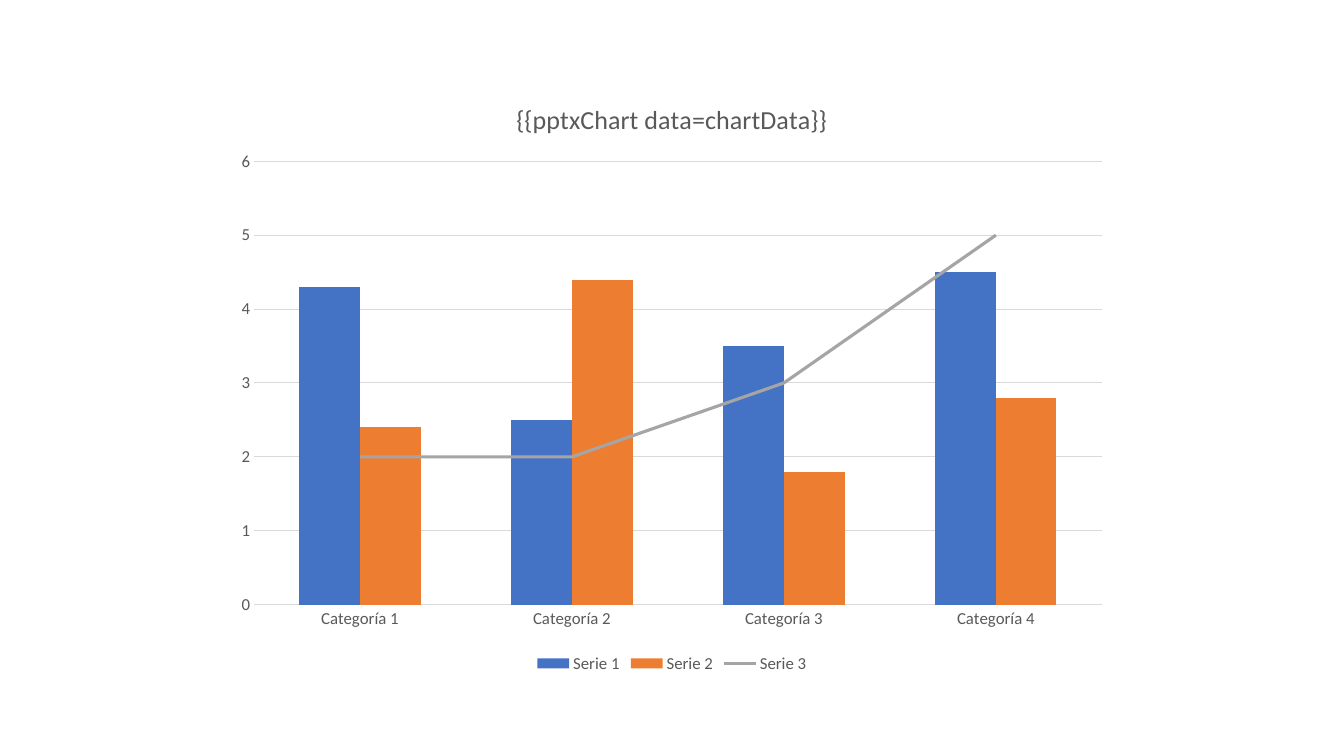
import pptx
import pptx.util
import pptx.chart.data
import pptx.dml.color
import pptx.enum.chart
import pptx.oxml
import pptx.oxml.ns

Inches = pptx.util.Inches
Pt = pptx.util.Pt
RGBColor = pptx.dml.color.RGBColor
qn = pptx.oxml.ns.qn
XL = pptx.enum.chart

BLUE = RGBColor(0x44, 0x72, 0xC4)
ORANGE = RGBColor(0xED, 0x7D, 0x31)
GRAY = RGBColor(0xA5, 0xA5, 0xA5)
TEXT = RGBColor(0x59, 0x59, 0x59)
GRID = RGBColor(0xD9, 0xD9, 0xD9)

CATEGORIES = [f"Categoría {n}" for n in range(1, 5)]
SERIES = {
    "Serie 1": (4.3, 2.5, 3.5, 4.5),
    "Serie 2": (2.4, 4.4, 1.8, 2.8),
    "Serie 3": (2, 2, 3, 5),
}
CHART_BOX = (2.22, 0.79, 8.89, 5.93)
PLOT_BOX = (2.52, 1.6, 8.41, 4.4)


def set_attrs(obj, values):
    for name, value in values.items():
        setattr(obj, name, value)


class SlideBuilder:
    font_name = "Calibri"

    def __init__(self, prs):
        self.s = prs.slides.add_slide(prs.slide_layouts[6])

    def font(self, font, size):
        set_attrs(font, {"name": self.font_name, "size": Pt(size), "bold": False})
        font.color.rgb = TEXT

    def line(self, fmt, color, width):
        fmt.line.color.rgb = color
        fmt.line.width = Pt(width)

    def combo_chart(self, box):
        data = pptx.chart.data.CategoryChartData()
        data.categories = CATEGORIES
        for name, values in SERIES.items():
            data.add_series(name, values)
        chart = self.s.shapes.add_chart(
            XL.XL_CHART_TYPE.COLUMN_CLUSTERED, *map(Inches, box), data
        ).chart
        self.font(chart.font, 12)
        self.last_series_as_line(chart)
        bars, lines = chart.plots
        set_attrs(bars, {"gap_width": 150, "overlap": 0, "vary_by_categories": False})
        for ser, color in zip(bars.series, (BLUE, ORANGE)):
            ser.format.fill.solid()
            ser.format.fill.fore_color.rgb = color
        ser = lines.series[0]
        self.line(ser.format, GRAY, 2.25)
        ser.marker.style = XL.XL_MARKER_STYLE.NONE
        ser.smooth = False
        return chart

    def last_series_as_line(self, chart):
        bar = chart.plots[0]._element
        ser = bar.findall(qn("c:ser"))[-1]
        for flag in ser.findall(qn("c:invertIfNegative")):
            ser.remove(flag)
        line = pptx.oxml.parse_xml(
            f'<c:lineChart {pptx.oxml.ns.nsdecls("c")}><c:grouping val="standard"/>'
            '<c:varyColors val="0"/><c:marker val="1"/></c:lineChart>'
        )
        line.insert(2, ser)
        for ax in bar.findall(qn("c:axId")):
            line.append(pptx.oxml.parse_xml(
                f'<c:axId {pptx.oxml.ns.nsdecls("c")} val="{ax.get("val")}"/>'
            ))
        bar.addnext(line)

    def place_plot(self, chart, box, plot):
        left, top, width, height = box
        layout = {
            "x": (plot[0] - left) / width,
            "y": (plot[1] - top) / height,
            "w": plot[2] / width,
            "h": plot[3] / height,
        }
        area = chart.plots[0]._element.getparent()
        for old in area.findall(qn("c:layout")):
            area.remove(old)
        parts = '<c:layoutTarget val="inner"/><c:xMode val="edge"/><c:yMode val="edge"/>'
        parts += "".join(f'<c:{k} val="{v:.4f}"/>' for k, v in layout.items())
        area.insert(0, pptx.oxml.parse_xml(
            f'<c:layout {pptx.oxml.ns.nsdecls("c")}>'
            f"<c:manualLayout>{parts}</c:manualLayout></c:layout>"
        ))

    def title(self, chart, text):
        chart.has_title = True
        p = chart.chart_title.text_frame.paragraphs[0]
        r = p.add_run()
        r.text = text
        self.font(r.font, 18.6)

    def axes(self, chart):
        for axis in (chart.category_axis, chart.value_axis):
            set_attrs(axis, {
                "major_tick_mark": XL.XL_TICK_MARK.NONE,
                "minor_tick_mark": XL.XL_TICK_MARK.NONE,
            })
            self.font(axis.tick_labels.font, 12)
        self.line(chart.category_axis.format, GRID, 0.75)
        axis = chart.value_axis
        set_attrs(axis, {
            "minimum_scale": 0,
            "maximum_scale": 6,
            "major_unit": 1,
            "has_major_gridlines": True,
        })
        axis.format.line.fill.background()
        self.line(axis.major_gridlines.format, GRID, 0.75)

    def legend(self, chart):
        chart.has_legend = True
        set_attrs(chart.legend, {
            "position": XL.XL_LEGEND_POSITION.BOTTOM,
            "include_in_layout": False,
        })
        self.font(chart.legend.font, 12)


def main():
    prs = pptx.Presentation()
    set_attrs(prs, {"slide_width": Inches(13.33), "slide_height": Inches(7.5)})
    builder = SlideBuilder(prs)
    chart = builder.combo_chart(CHART_BOX)
    builder.place_plot(chart, CHART_BOX, PLOT_BOX)
    builder.title(chart, "{{pptxChart data=chartData}}")
    builder.axes(chart)
    builder.legend(chart)
    prs.save("out.pptx")


if __name__ == "__main__":
    main()
